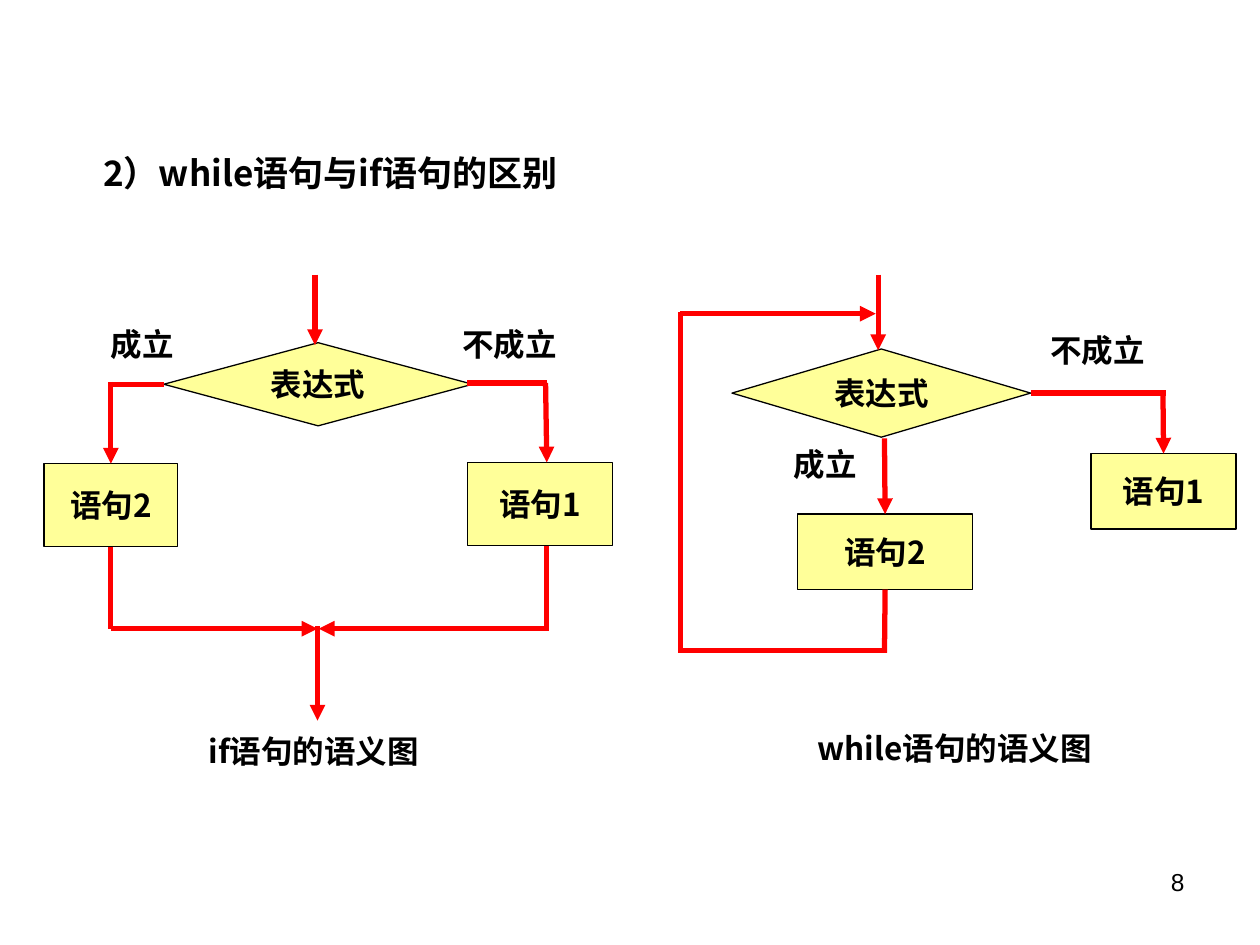
from pptx import Presentation
from pptx import util as u
from pptx.dml.color import RGBColor
from pptx.enum import shapes, text
from pptx.oxml.ns import qn
from lxml import etree

PX = 9144  # EMU per px, 100 px to the inch
BLACK = RGBColor(0x00, 0x00, 0x00)
RED = RGBColor(0xFF, 0x00, 0x00)
YELLOW = RGBColor(0xFF, 0xFF, 0x99)
CHINESE_FONT = "Noto Sans CJK SC"
TOP, LEFT, BOTTOM, RIGHT = range(4)
DECISION = shapes.MSO_SHAPE.FLOWCHART_DECISION
RECTANGLE = shapes.MSO_SHAPE.RECTANGLE


def px(*lengths):
    return [u.Emu(length * PX) for length in lengths]


def style_text(paragraph, size, align, name=CHINESE_FONT, bold=True):
    paragraph.alignment = align
    font = paragraph.font
    font.size, font.bold, font.name = u.Pt(size), bold, name
    font.color.rgb = BLACK
    properties = paragraph._p.pPr.find(qn("a:defRPr"))
    etree.SubElement(properties, qn("a:ea"), typeface=name)


def add_text(container, box, words, size=18, align=text.PP_ALIGN.CENTER, **font):
    frame = container.add_textbox(*px(*box)).text_frame
    frame.word_wrap = True
    paragraph = frame.paragraphs[0]
    paragraph.text = words
    style_text(paragraph, size, align, **font)
    return paragraph


def add_node(container, kind, box, words):
    shape = container.add_shape(kind, *px(*box))
    shape.shadow.inherit = False
    shape.fill.solid()
    shape.fill.fore_color.rgb = YELLOW
    shape.line.color.rgb = BLACK
    shape.line.width = u.Pt(0.75)
    frame = shape.text_frame
    frame.word_wrap = False
    frame.vertical_anchor = text.MSO_ANCHOR.MIDDLE
    frame.paragraphs[0].text = words
    style_text(frame.paragraphs[0], 18, text.PP_ALIGN.CENTER)
    return shape


def add_flow(container, start, end, arrow=False, source=None, target=None):
    """Draw a red line; source and target are (shape, side) pairs to join."""
    line = container.add_connector(shapes.MSO_CONNECTOR.STRAIGHT, *px(*start, *end))
    line.line.color.rgb = RED
    line.line.width = u.Pt(3)
    if arrow:
        etree.SubElement(line.line._get_or_add_ln(), qn("a:tailEnd"), type="triangle")
    etree.SubElement(line._element.spPr, qn("a:effectLst"))
    if source:
        line.begin_connect(*source)
    if target:
        line.end_connect(*target)


def add_while_diagram(slide):
    group = slide.shapes.add_group_shape().shapes
    decision = add_node(group, DECISION, (581, 277, 237, 70), "表达式")
    body = add_node(group, RECTANGLE, (633, 408, 139, 60), "语句2")
    following = add_node(group, RECTANGLE, (866, 360, 115, 60), "语句1")

    add_flow(group, (697, 218), (697, 278), arrow=True)
    add_flow(group, (702, 348), (702, 408), arrow=True, target=(body, TOP))
    add_flow(group, (818, 312), (925, 312), source=(decision, RIGHT))
    add_flow(group, (923, 312), (923, 360), arrow=True, target=(following, TOP))
    add_flow(group, (702, 468), (702, 518), source=(body, BOTTOM))
    add_flow(group, (704, 516), (540, 516))
    add_flow(group, (540, 518), (540, 248))
    add_flow(group, (540, 249), (695, 249), arrow=True)

    add_text(group, (614, 348, 82, 40), "成立")
    add_text(group, (818, 258, 106, 40), "不成立")
    add_text(group, (582, 574, 351, 40), "while语句的语义图")


def add_if_diagram(slide):
    group = slide.shapes.add_group_shape().shapes
    decision = add_node(group, DECISION, (130, 272, 245, 66), "表达式")
    add_node(group, RECTANGLE, (371, 367, 115, 66), "语句1")
    holds = add_node(group, RECTANGLE, (35, 368, 106, 66), "语句2")

    add_flow(group, (250, 218), (250, 274), arrow=True)
    add_flow(group, (88, 305), (130, 305), target=(decision, LEFT))
    add_flow(group, (88, 303), (88, 368), arrow=True, target=(holds, TOP))
    add_flow(group, (88, 434), (88, 499), source=(holds, BOTTOM))
    add_flow(group, (88, 499), (252, 499), arrow=True)
    add_flow(group, (371, 304), (434, 304))
    add_flow(group, (433, 304), (434, 367), arrow=True)
    add_flow(group, (434, 433), (434, 501))
    add_flow(group, (434, 499), (253, 499), arrow=True)
    add_flow(group, (252, 497), (252, 572), arrow=True)

    add_text(group, (72, 253, 82, 40), "成立")
    add_text(group, (347, 253, 115, 40), "不成立")
    add_text(group, (119, 576, 260, 40), "if语句的语义图")


def main():
    presentation = Presentation()
    presentation.slide_width, presentation.slide_height = px(1000, 750)
    slide = presentation.slides.add_slide(presentation.slide_layouts[6])
    title = add_text(slide.shapes, (42, 99, 533, 70), "2）while语句与if语句的区别",
                     size=20, align=text.PP_ALIGN.LEFT)
    title.line_spacing = 1.5
    title._p.pPr.set("marL", str(30 * PX))
    add_while_diagram(slide)
    add_if_diagram(slide)
    add_text(slide.shapes, (717, 683, 233, 52), "8", size=14,
             align=text.PP_ALIGN.RIGHT, name="Arial", bold=False)
    presentation.save("out.pptx")


if __name__ == "__main__":
    main()
